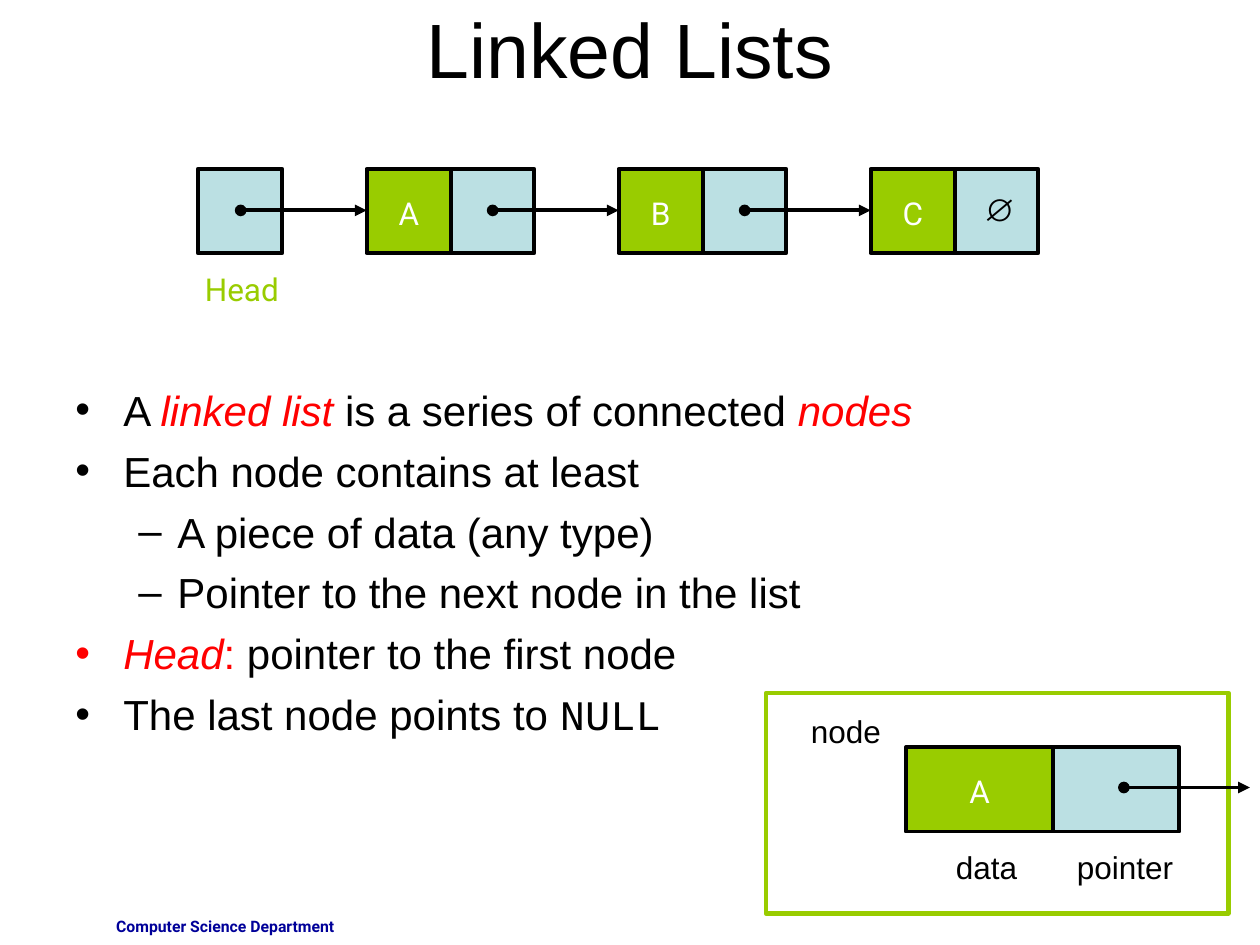
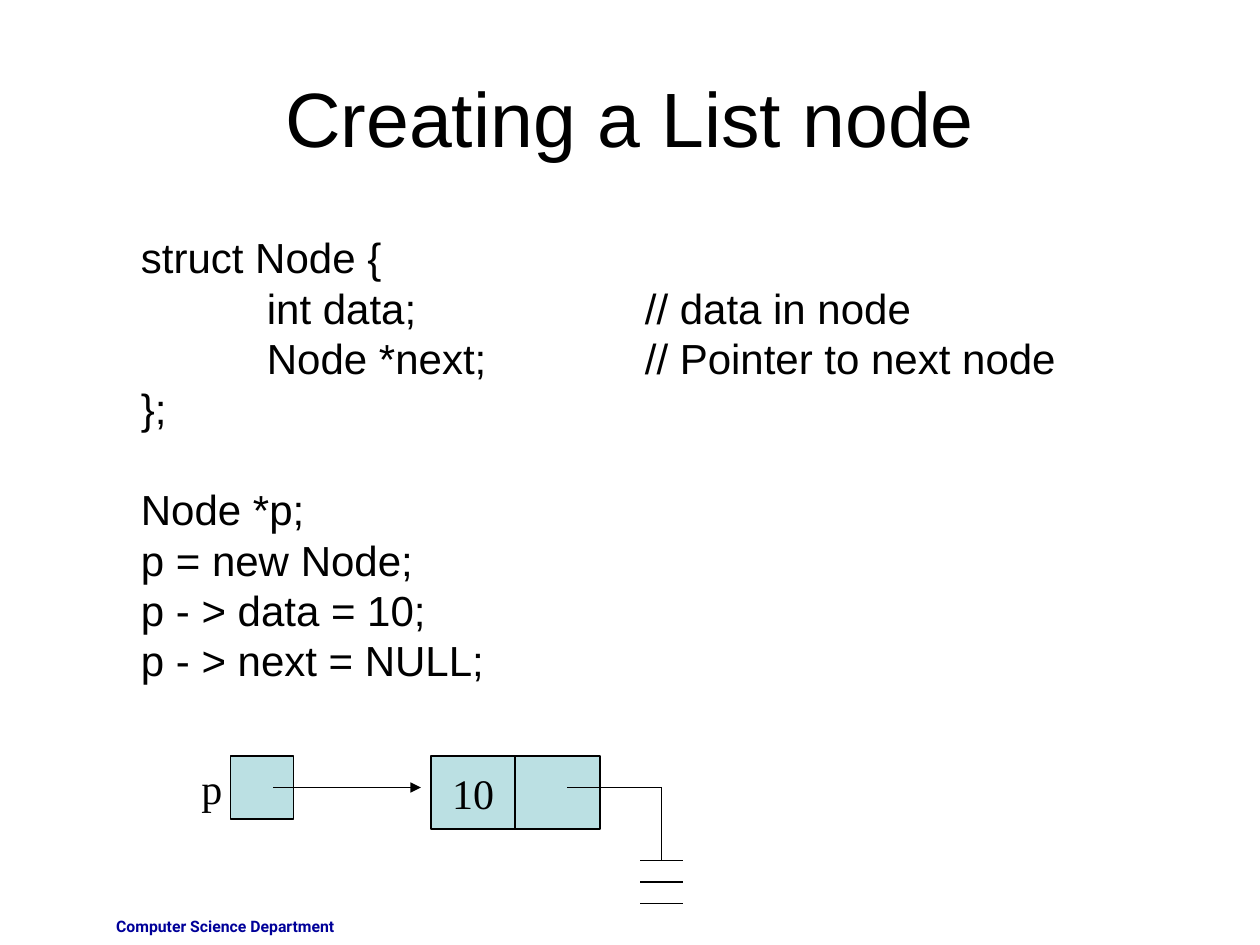
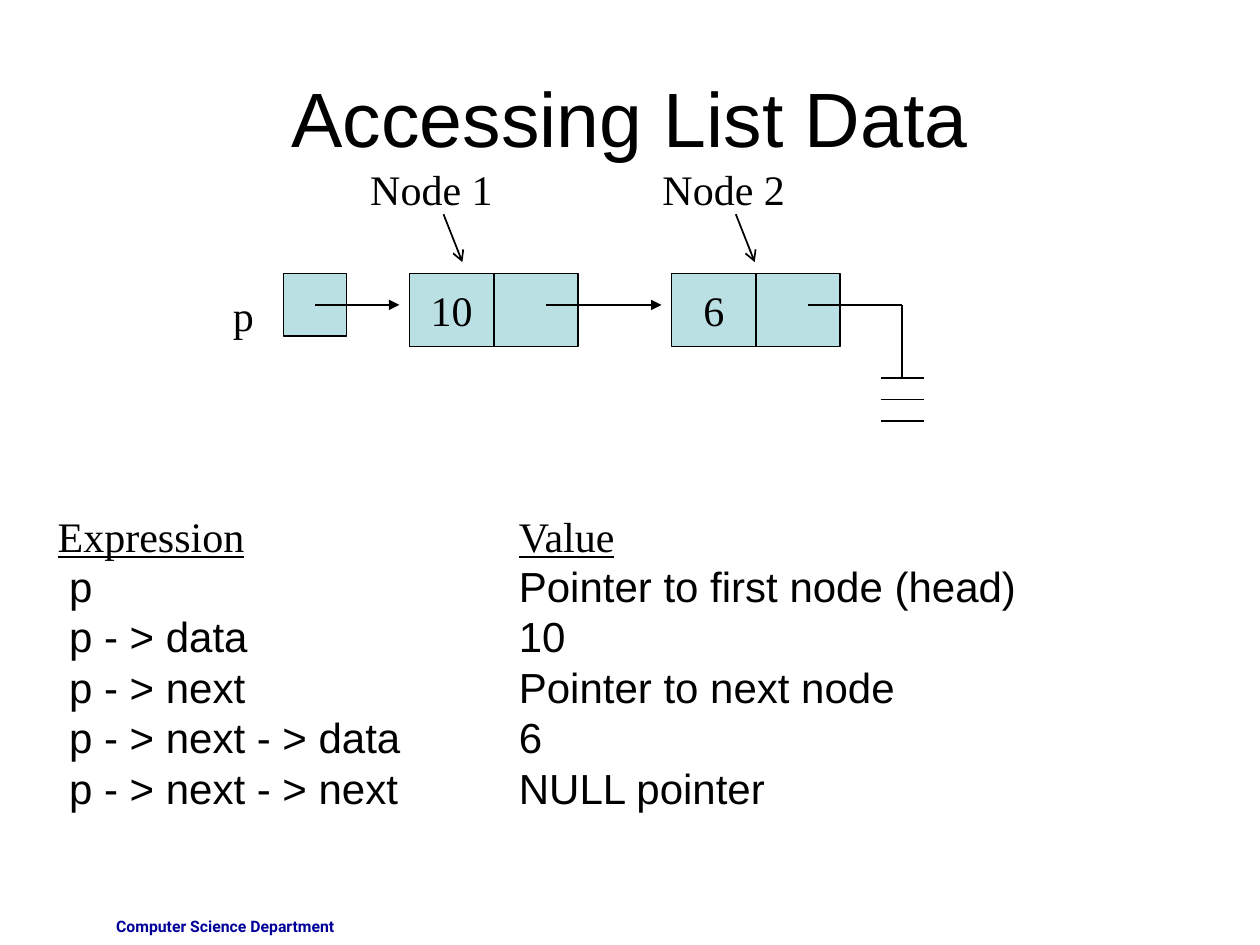
from dataclasses import dataclass

from lxml.etree import SubElement as Sub
from pptx import Presentation
from pptx.dml.color import RGBColor as RGB
from pptx.enum.shapes import MSO_CONNECTOR as Link, MSO_SHAPE as Preset
from pptx.enum.text import MSO_ANCHOR as Anchor, PP_ALIGN as Align
from pptx.oxml.ns import qn
from pptx.util import Inches, Pt


@dataclass(frozen=True)
class Theme:
    """Colours, fonts, sizes and line widths of the deck."""
    ink: str = "000000"
    white: str = "FFFFFF"
    accent: str = "FF0000"
    green: str = "99CC00"
    blue: str = "BBE0E3"
    navy: str = "000099"
    sans: str = "Arial"
    serif: str = "Times New Roman"
    label: str = "Roboto"
    mono: str = "Courier New"
    title: int = 44
    body: int = 24
    small: int = 18
    footer: int = 9
    leading: float = 1.2
    thin: float = 1
    thick: float = 2.25
    frame: float = 2.5


T = Theme()
PLAIN = {"name": T.sans, "size": T.body, "color": T.ink}
SERIF = {**PLAIN, "name": T.serif}
SMALL = {**PLAIN, "size": T.small}
LETTER = {**SMALL, "name": T.label, "color": T.white}
TITLE = {**PLAIN, "size": T.title}
FOOTER = {"name": T.label, "size": T.footer, "color": T.navy, "bold": True}
EMPHASIS = {"color": T.accent, "italic": True}
HEADING = {"name": T.serif, "underline": True}


def inches(*lengths):
    """Convert numbers to lengths in inches."""
    return [Inches(length) for length in lengths]


def set_format(font, style):
    """Apply a dict of format values to a font."""
    for key, value in style.items():
        if key == "color":
            font.color.rgb = RGB.from_string(value)
        else:
            setattr(font, key, Pt(value) if key == "size" else value)


def write(frame, paragraphs, style, align=Align.LEFT, anchor=Anchor.TOP, wrap=True):
    """Fill a text frame with paragraphs of (text, overrides) runs."""
    frame.word_wrap = wrap
    frame.vertical_anchor = anchor
    for index, runs in enumerate(paragraphs):
        paragraph = frame.add_paragraph() if index else frame.paragraphs[0]
        paragraph.alignment = align
        paragraph.line_spacing = Pt(style["size"] * T.leading)
        for text, overrides in [(runs, {})] if isinstance(runs, str) else runs:
            run = paragraph.add_run()
            run.text = text
            set_format(run.font, {**style, **overrides})
    return frame.paragraphs


def add_text(slide, box, paragraphs, style, **layout):
    """Add a text box and return its paragraphs."""
    frame = slide.shapes.add_textbox(*inches(*box)).text_frame
    return write(frame, paragraphs, style, **layout)


def add_cell(slide, box, fill, width, outline=T.ink):
    """Add an outlined rectangle, filled when a colour is given."""
    cell = slide.shapes.add_shape(Preset.RECTANGLE, *inches(*box))
    cell.shadow.inherit = False
    if fill:
        cell.fill.solid()
        cell.fill.fore_color.rgb = RGB.from_string(fill)
    else:
        cell.fill.background()
    cell.line.color.rgb = RGB.from_string(outline)
    cell.line.width = Pt(width)
    return cell


def add_line(slide, start, end, width=T.thin, **ends):
    """Add a straight line with optional head and tail ends."""
    line = slide.shapes.add_connector(Link.STRAIGHT, *inches(*start, *end))
    line.line.color.rgb = RGB.from_string(T.ink)
    line.line.width = Pt(width)
    properties = line._element.spPr
    for end_name, kind in ends.items():
        Sub(properties.find(qn("a:ln")), qn(f"a:{end_name}End"), type=kind)
    Sub(properties, qn("a:effectLst"))


def add_bullet(paragraph, mark, color, margin, hang):
    """Give a paragraph a bullet with a hanging indent."""
    paragraph.space_before = Pt(6)
    properties = paragraph._p.get_or_add_pPr()
    properties.set("marL", str(Inches(margin)))
    properties.set("indent", str(-Inches(hang)))
    Sub(Sub(properties, qn("a:buClr")), qn("a:srgbClr"), val=color)
    Sub(properties, qn("a:buFont"), typeface=T.sans)
    Sub(properties, qn("a:buChar"), char=mark)


def add_tab_stops(paragraph, count):
    """Give a paragraph left tab stops one inch apart."""
    stops = Sub(paragraph._p.get_or_add_pPr(), qn("a:tabLst"))
    for stop in range(1, count + 1):
        Sub(stops, qn("a:tab"), pos=str(Inches(stop)), algn="l")


def new_slide(deck, title, top=0.3):
    """Start a slide with its title and footer."""
    slide = deck.slides.add_slide(deck.slide_layouts[6])
    add_text(slide, (0.42, 7.23, 2.33, 0.27), ["Computer Science Department"],
             FOOTER, align=Align.RIGHT)
    add_text(slide, (0.5, top, 9, 1.25), [title], TITLE,
             align=Align.CENTER, anchor=Anchor.MIDDLE)
    return slide


def data_cell(slide, box, letter):
    """Draw a green data cell with its letter."""
    left, top, width, _ = box
    add_cell(slide, box, T.green, T.thick)
    add_text(slide, (left + (width - 0.36) / 2, top + 0.15, 0.36, 0.4), [letter],
             LETTER, align=Align.CENTER, wrap=False)


def pointer_arrow(slide, left, top):
    """Draw a one-inch pointer from a dot to an arrowhead."""
    add_line(slide, (left, top), (left + 1, top), T.thick, head="oval", tail="triangle")


def list_diagram(slide, left, top, letters):
    """Draw the head cell and the linked nodes after it."""
    side, pitch = 0.67, 2
    add_cell(slide, (left, top, side, side), T.blue, T.thick)
    add_text(slide, (left - 0.06, top + 0.75, 0.82, 0.4), ["Head"],
             {**LETTER, "color": T.green}, align=Align.CENTER, wrap=False)
    for index, letter in enumerate(letters):
        pointer = left + pitch * (index + 1)
        add_cell(slide, (pointer, top, side, side), T.blue, T.thick)
        data_cell(slide, (pointer - side + 0.01, top, side, side), letter)
        pointer_arrow(slide, pointer - pitch + 0.34, top + 0.33)
    add_text(slide, (pointer + 0.14, top + 0.12, 0.4, 0.4), ["∅"], SMALL,
             align=Align.CENTER, wrap=False)


def list_facts(slide, box):
    """Write the bulleted facts about linked lists."""
    facts = [
        (0, T.ink, [("A ", {}), ("linked list ", EMPHASIS),
                    ("is a series of connected ", {}), ("nodes", EMPHASIS)]),
        (0, T.ink, "Each node contains at least"),
        (1, T.ink, "A piece of data (any type)"),
        (1, T.ink, "Pointer to the next node in the list"),
        (0, T.accent, [("Head", EMPHASIS), (": ", {"color": T.accent}),
                       ("pointer to the first node", {})]),
        (0, T.ink, [("The last node points to ", {}), ("NULL", {"name": T.mono})]),
    ]
    levels = [("•", 0.38, 0.38), ("–", 0.81, 0.31)]
    paragraphs = add_text(slide, box, [runs for _, _, runs in facts], PLAIN)
    for paragraph, (level, color, _) in zip(paragraphs, facts):
        mark, margin, hang = levels[level]
        paragraph.level = level
        add_bullet(paragraph, mark, color, margin, hang)


def node_panel(slide, box):
    """Draw the framed close-up of one node."""
    left, top, _, _ = box
    add_cell(slide, box, None, T.frame, T.green)
    add_cell(slide, (left + 2.28, top + 0.43, 1, 0.67), T.blue, T.thick)
    data_cell(slide, (left + 1.11, top + 0.43, 1.17, 0.67), "A")
    for word, dx, dy, width in [("node", 0.09, 0.1, 0.92), ("data", 1.34, 1.18, 0.75),
                                ("pointer", 2.25, 1.18, 1.08)]:
        add_text(slide, (left + dx, top + dy, width, 0.4), [word], SMALL,
                 align=Align.RIGHT)
    pointer_arrow(slide, left + 2.84, top + 0.75)


def node_pair(slide, left, top, value):
    """Draw a thin node with its value and an empty link cell."""
    width, height = 0.67, 0.58
    data = add_cell(slide, (left, top, width, height), T.blue, T.thin)
    write(data.text_frame, [value], SERIF, align=Align.CENTER,
          anchor=Anchor.MIDDLE, wrap=False)
    add_cell(slide, (left + width, top, width, height), T.blue, T.thin)


def null_ground(slide, left, top):
    """Draw the ground symbol that ends a list."""
    stem, base = left + 0.75, top + 0.58
    add_line(slide, (left, top), (stem, top))
    add_line(slide, (stem, top), (stem, base))
    for rung in range(3):
        level = base + rung * 0.17
        add_line(slide, (stem - 0.17, level), (stem + 0.17, level))


def pointer_chain(slide, left, top, label_offset, link, nodes):
    """Draw pointer p, the nodes it leads to and the closing ground."""
    dx, dy = label_offset
    axis = top + 0.25
    add_cell(slide, (left, top, 0.5, 0.5), T.blue, T.thin)
    add_text(slide, (left + dx, top + dy, 0.36, 0.5), ["p"], SERIF, wrap=False)
    source = left + link
    for node_left, value in nodes:
        node_pair(slide, node_left, top, value)
        add_line(slide, (source, axis), (node_left - 0.08, axis), tail="triangle")
        source = node_left + 1.08
    null_ground(slide, source, axis)


def node_code(slide, box):
    """Write the code that declares and creates a node."""
    code = ["struct Node {", "\tint data;\t\t// data in node",
            "\tNode *next;\t\t// Pointer to next node", "};",
            "Node *p;", "p = new Node;", "p - > data = 10;", "p - > next = NULL;"]
    lines = add_text(slide, box, code, PLAIN)
    lines[code.index("Node *p;")].space_before = Pt(T.body * T.leading)
    for line in lines:
        add_tab_stops(line, 7)


def node_caption(slide, left, top, caption):
    """Name a node and point down at it."""
    add_text(slide, (left, top, 1.17, 0.5), [caption], SERIF, wrap=False)
    add_line(slide, (left + 0.68, top + 0.45), (left + 0.83, top + 0.83), tail="arrow")


def expression_values(slide, left, top):
    """List the expressions beside their values."""
    expressions = ["p", "p - > data", "p - > next", "p - > next - > data",
                   "p - > next - > next"]
    values = ["Pointer to first node (head)", "10", "Pointer to next node", "6",
              "NULL pointer"]
    names = add_text(slide, (left, top, 3.6, 2.5),
                     [[("Expression", HEADING)], *expressions], PLAIN)
    for name in names[1:]:
        name._p.get_or_add_pPr().set("marL", str(Inches(0.09)))
    add_text(slide, (left + 3.66, top, 4.5, 2.5),
             [[("Value", HEADING)], *values], PLAIN)


def linked_lists(deck):
    """Build the slide that introduces linked lists."""
    slide = new_slide(deck, "Linked Lists", top=-0.25)
    list_facts(slide, (0.5, 3, 8.58, 3.33))
    list_diagram(slide, 1.57, 1.34, "ABC")
    node_panel(slide, (6.08, 5.5, 3.67, 1.75))


def creating_node(deck):
    """Build the slide that creates one node."""
    slide = new_slide(deck, "Creating a List node")
    node_code(slide, (1.02, 1.79, 7.8, 3.7))
    pointer_chain(slide, 1.83, 6, (-0.33, 0), 0.34, [(3.42, "10")])


def accessing_data(deck):
    """Build the slide that reads data through pointers."""
    slide = new_slide(deck, "Accessing List Data")
    pointer_chain(slide, 2.25, 2.17, (-0.5, 0.08), 0.25, [(3.25, "10"), (5.33, "6")])
    for left, caption in [(2.84, "Node 1"), (5.16, "Node 2")]:
        node_caption(slide, left, 1.25, caption)
    expression_values(slide, 0.36, 4)


def main():
    """Build and save the deck."""
    deck = Presentation()
    deck.slide_width, deck.slide_height = inches(10, 7.5)
    for build in (linked_lists, creating_node, accessing_data):
        build(deck)
    deck.save("out.pptx")


if __name__ == "__main__":
    main()
